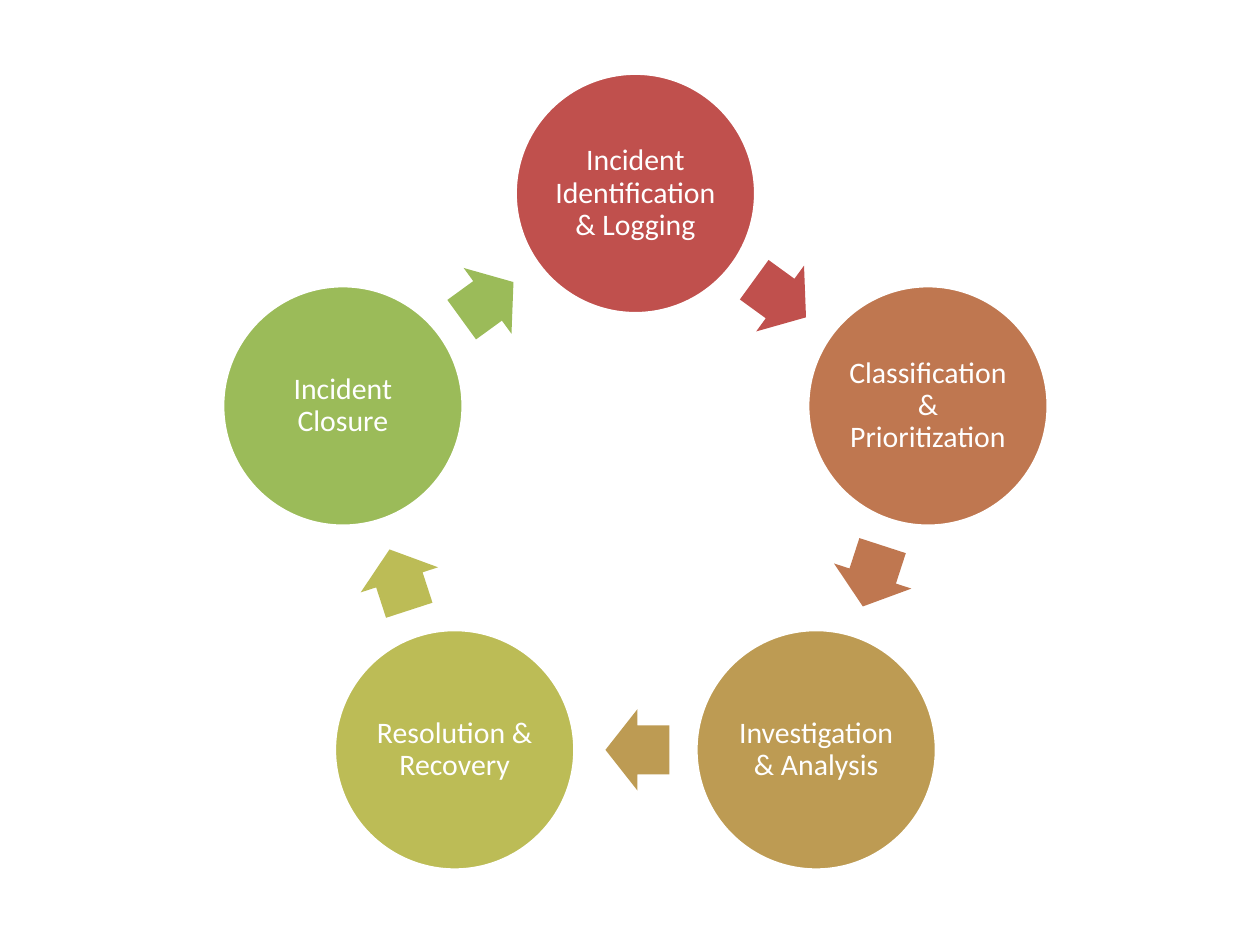
from math import cos, pi, radians, sin

from pptx import Presentation
from pptx.dml.color import RGBColor
from pptx.enum.shapes import MSO_SHAPE
from pptx.enum.text import MSO_ANCHOR, PP_ALIGN
from pptx.util import Cm, Pt

CIRCLE, ARROW = MSO_SHAPE.OVAL, MSO_SHAPE.RIGHT_ARROW
MIDDLE, CENTER = MSO_ANCHOR.MIDDLE, PP_ALIGN.CENTER

THEME = {
    "font": "Calibri",
    "size": Pt(17),
    "text": RGBColor.from_string("FFFFFF"),
    "outline": RGBColor.from_string("FFFFFF"),
}
STAGES = [
    ("Incident Identification & Logging", "C0504D"),
    ("Classification & Prioritization", "BF7750"),
    ("Investigation & Analysis", "BD9B53"),
    ("Resolution & Recovery", "BCBC56"),
    ("Incident Closure", "9BBB59"),
]

# Cycle geometry in centimetres
CENTER_X, CENTER_Y, RADIUS = 12.81, 10.1, 6.2
DIAMETER = 4.85
ARROW_LENGTH, ARROW_WIDTH = 1.29, 1.64
ARROW_SETBACK = 0.04
STEP = 360 / len(STAGES)
ARROW_RADIUS = RADIUS * cos(pi / len(STAGES))

TEXT_FRAME_FORMAT = {
    "word_wrap": True,
    "vertical_anchor": MIDDLE,
    "margin_left": Cm(0.05),
    "margin_right": Cm(0.05),
    "margin_top": Cm(0.05),
    "margin_bottom": Cm(0.05),
}
PARAGRAPH_FORMAT = {"alignment": CENTER, "line_spacing": 0.9}
FONT_FORMAT = {"name": THEME["font"], "size": THEME["size"]}


def apply_format(target, values):
    for name, value in values.items():
        setattr(target, name, value)


def add_centered(slide, kind, x, y, width, height, color):
    shape = slide.shapes.add_shape(
        kind, Cm(x - width / 2), Cm(y - height / 2), Cm(width), Cm(height)
    )
    shape.shadow.inherit = False
    shape.fill.solid()
    shape.fill.fore_color.rgb = RGBColor.from_string(color)
    return shape


presentation = Presentation()
presentation.slide_width, presentation.slide_height = Cm(25.4), Cm(19.05)
slide = presentation.slides.add_slide(presentation.slide_layouts[6])

for index, (label, color) in enumerate(STAGES):
    # Stage circle, clockwise from the top
    angle = radians(index * STEP)
    circle = add_centered(
        slide, CIRCLE,
        CENTER_X + RADIUS * sin(angle), CENTER_Y - RADIUS * cos(angle),
        DIAMETER, DIAMETER, color,
    )
    circle.line.color.rgb = THEME["outline"]
    circle.line.width = Pt(2)

    # Stage label
    apply_format(circle.text_frame, TEXT_FRAME_FORMAT)
    paragraph = circle.text_frame.paragraphs[0]
    apply_format(paragraph, PARAGRAPH_FORMAT)
    run = paragraph.add_run()
    run.text = label
    apply_format(run.font, FONT_FORMAT)
    run.font.color.rgb = THEME["text"]

    # Arrow to the next stage, halfway and pointing along the cycle
    rotation = (index + 0.5) * STEP
    angle = radians(rotation)
    arrow = add_centered(
        slide, ARROW,
        CENTER_X + ARROW_RADIUS * sin(angle) - ARROW_SETBACK * cos(angle),
        CENTER_Y - ARROW_RADIUS * cos(angle) - ARROW_SETBACK * sin(angle),
        ARROW_LENGTH, ARROW_WIDTH, color,
    )
    arrow.line.fill.background()
    arrow.rotation = rotation
    arrow.adjustments[0], arrow.adjustments[1] = 0.6, 0.5

presentation.save("out.pptx")
